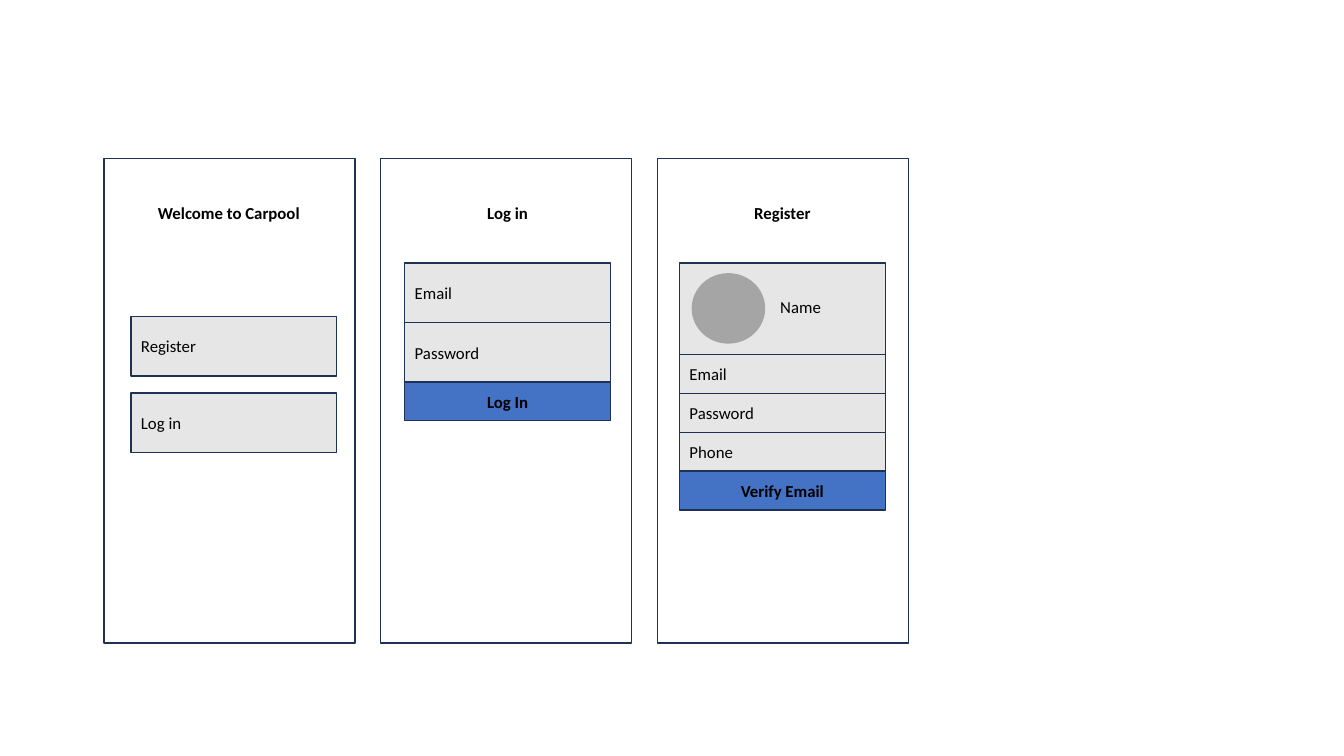
import pptx
import pptx.util
import pptx.dml.color
import pptx.enum.shapes
import pptx.enum.text

Inches = pptx.util.Inches
SHAPE = pptx.enum.shapes.MSO_SHAPE
ALIGN = pptx.enum.text.PP_ALIGN
ANCHOR = pptx.enum.text.MSO_ANCHOR

NAVY, GREY, BLUE = "1E3256", "E7E6E6", "4472C4"
WIDE = 2.04
TALL, ROW = 0.59, 0.385


def color(code):
    return pptx.dml.color.RGBColor.from_string(code)


def draw(slide, kind, left, top, width, height, fill, line=NAVY):
    shape = slide.shapes.add_shape(
        kind, Inches(left), Inches(top), Inches(width), Inches(height))
    shape.shadow.inherit = False
    shape.fill.solid()
    shape.fill.fore_color.rgb = color(fill)
    if line:
        shape.line.color.rgb = color(line)
        shape.line.width = pptx.util.Pt(1)
    else:
        shape.line.fill.background()
    return shape


def write(shape, text, bold=False, anchor=ANCHOR.MIDDLE):
    """Set a label: bold ones are centred, plain ones start at the left."""
    frame = shape.text_frame
    frame.word_wrap = True
    frame.vertical_anchor = anchor
    frame.text = text
    para = frame.paragraphs[0]
    para.alignment = ALIGN.CENTER if bold else ALIGN.LEFT
    font = para.runs[0].font
    font.name = "Calibri"
    font.size = pptx.util.Pt(12)
    font.bold = bold
    font.color.rgb = color("000000")


def label(slide, left, top, width, height, text, **style):
    box = slide.shapes.add_textbox(
        Inches(left), Inches(top), Inches(width), Inches(height))
    write(box, text, **style)


def field(slide, left, top, height, text):
    write(draw(slide, SHAPE.RECTANGLE, left, top, WIDE, height, GREY), text)


def button(slide, left, top, text):
    box = draw(slide, SHAPE.RECTANGLE, left, top, WIDE, ROW, BLUE)
    write(box, text, bold=True)


def screen(slide, left, top, inset, title):
    """Draw an empty phone screen with its heading."""
    draw(slide, SHAPE.RECTANGLE, left, top, 2.49, 4.81, "FFFFFF")
    label(slide, left + inset, top + 0.25, WIDE, TALL, title, bold=True)


def welcome(slide, left, top):
    screen(slide, left, top, 0.22, "Welcome to Carpool")
    for i, text in enumerate(["Register", "Log in"]):
        field(slide, left + 0.27, top + 1.57 + i * 0.76, TALL, text)


def login(slide, left, top):
    screen(slide, left, top, 0.24, "Log in")
    left, top = left + 0.24, top + 1.04
    for i, text in enumerate(["Email", "Password"]):
        field(slide, left, top + i * TALL, TALL, text)
    button(slide, left, top + 2 * TALL, "Log In")


def register(slide, left, top):
    screen(slide, left, top, 0.22, "Register")
    left, top = left + 0.22, top + 1.04
    draw(slide, SHAPE.RECTANGLE, left, top, WIDE, 0.91, GREY)
    draw(slide, SHAPE.OVAL, left + 0.12, top + 0.1, 0.73, 0.7, "A5A5A5", None)
    label(slide, left + 0.9, top + 0.28, 0.99, 0.3, "Name", anchor=ANCHOR.TOP)
    top += 0.91
    rows = ["Email", "Password", "Phone"]
    for i, text in enumerate(rows):
        field(slide, left, top + i * ROW, ROW, text)
    button(slide, left, top + len(rows) * ROW, "Verify Email")


def main():
    deck = pptx.Presentation()
    deck.slide_width = Inches(13.33)
    deck.slide_height = Inches(7.5)
    slide = deck.slides.add_slide(deck.slide_layouts[6])
    for i, page in enumerate([welcome, login, register]):
        page(slide, 1.03 + i * 2.745, 1.57)
    deck.save("out.pptx")


if __name__ == "__main__":
    main()
